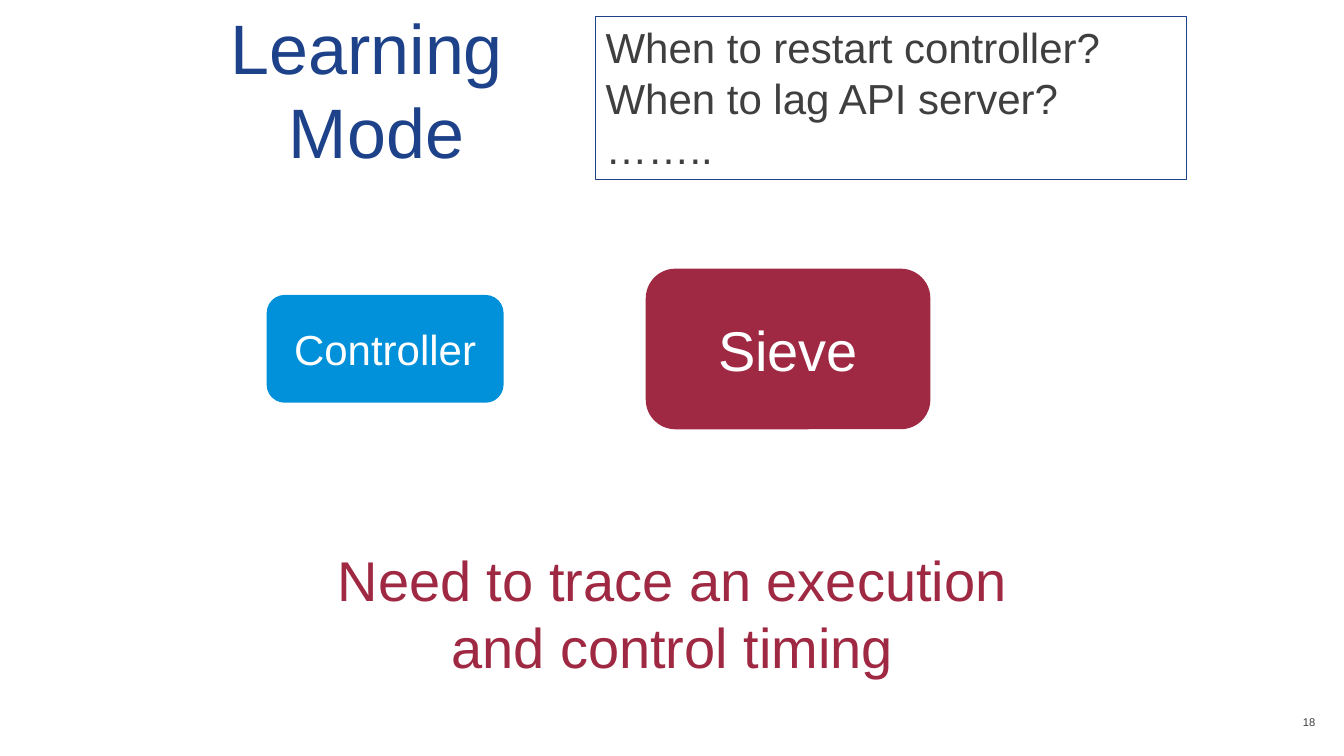
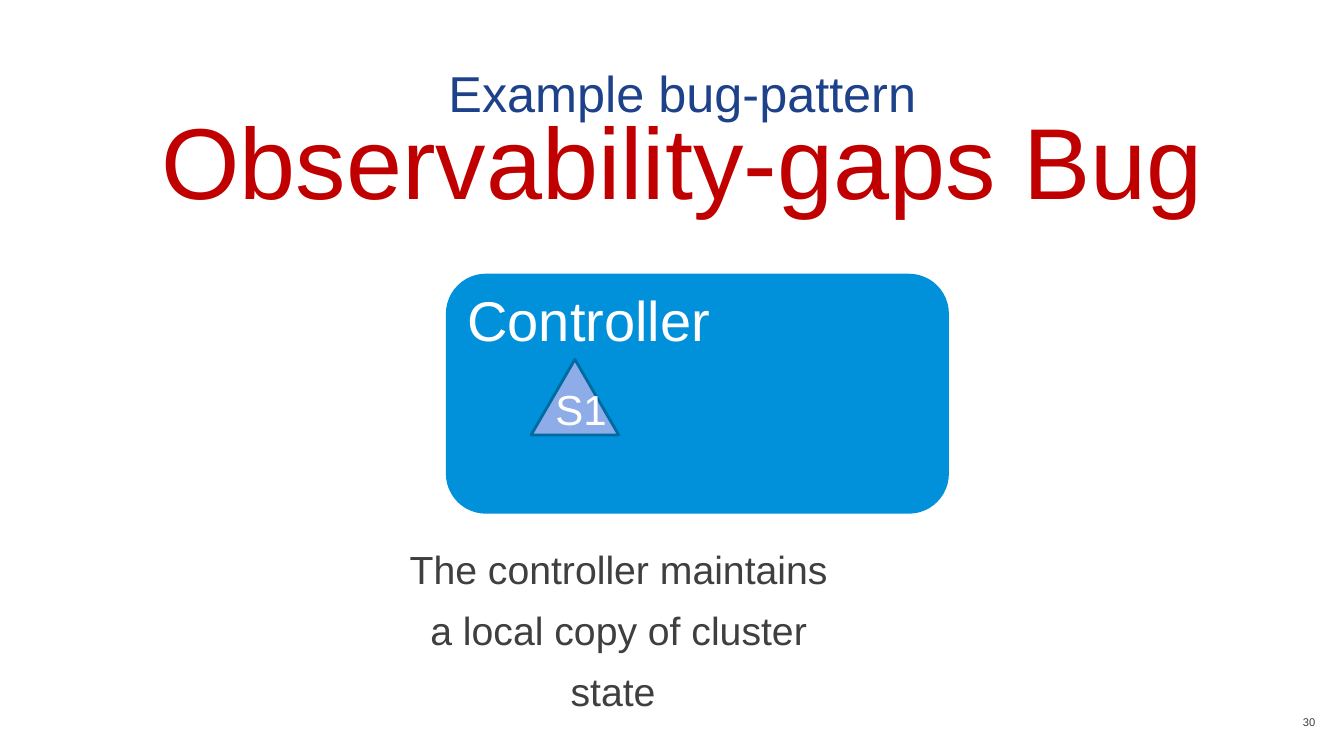
from dataclasses import dataclass
from typing import Optional

import pptx
import pptx.dml.color
import pptx.enum.shapes
import pptx.enum.text
import pptx.presentation
import pptx.shapes.base
import pptx.slide
import pptx.util

Pt = pptx.util.Pt
Align = pptx.enum.text.PP_ALIGN
Anchor = pptx.enum.text.MSO_ANCHOR
Preset = pptx.enum.shapes.MSO_SHAPE


@dataclass(frozen=True)
class Theme:
    font: str = "Arial"
    navy: str = "1D428A"
    blue: str = "0091DA"
    dark_blue: str = "006BA1"
    pale_blue: str = "8EACE7"
    maroon: str = "9F2842"
    red: str = "C00000"
    gray: str = "3F3F3F"
    white: str = "FFFFFF"
    footer: float = 8
    note: float = 28
    body: float = 30
    kicker: float = 36
    large: float = 40
    title: float = 50
    display: float = 72


THEME = Theme()


@dataclass(frozen=True)
class Box:
    left: float
    top: float
    width: float
    height: float


@dataclass(frozen=True)
class Style:
    size: float
    color: str


@dataclass(frozen=True)
class Label:
    paragraphs: tuple[str, ...]
    styles: tuple[Style, ...]
    align: Align = Align.CENTER
    anchor: Anchor = Anchor.TOP
    insets: tuple[float, float] = (7.2, 3.6)
    line_spacing: Optional[float] = None
    space_after: Optional[float] = None


@dataclass(frozen=True)
class Figure:
    preset: Preset
    box: Box
    fill: Optional[str] = None
    line: Optional[str] = None
    line_width: float = 0.75
    label: Optional[Label] = None


def color(value: str) -> pptx.dml.color.RGBColor:
    return pptx.dml.color.RGBColor.from_string(value)


def write_label(shape: pptx.shapes.base.BaseShape, label: Label) -> None:
    frame = shape.text_frame
    frame.text = "\n".join(label.paragraphs)
    frame.word_wrap = True
    frame.vertical_anchor = label.anchor
    frame.margin_left = frame.margin_right = Pt(label.insets[0])
    frame.margin_top = frame.margin_bottom = Pt(label.insets[1])
    for paragraph in frame.paragraphs:
        paragraph.alignment = label.align
        if label.line_spacing is not None:
            paragraph.line_spacing = label.line_spacing
        if label.space_after is not None:
            paragraph.space_after = Pt(label.space_after)
        for index, run in enumerate(paragraph.runs):
            style = label.styles[min(index, len(label.styles) - 1)]
            run.font.name = THEME.font
            run.font.size = Pt(style.size)
            run.font.color.rgb = color(style.color)


def place(box: Box) -> tuple[int, int, int, int]:
    return Pt(box.left), Pt(box.top), Pt(box.width), Pt(box.height)


def draw_text(slide: pptx.slide.Slide, box: Box, label: Label) -> None:
    write_label(slide.shapes.add_textbox(*place(box)), label)


def draw_figure(slide: pptx.slide.Slide, figure: Figure) -> None:
    shape = slide.shapes.add_shape(figure.preset, *place(figure.box))
    shape.shadow.inherit = False
    if figure.fill:
        shape.fill.solid()
        shape.fill.fore_color.rgb = color(figure.fill)
    else:
        shape.fill.background()
    if figure.line:
        shape.line.color.rgb = color(figure.line)
        shape.line.width = Pt(figure.line_width)
    else:
        shape.line.fill.background()
    if figure.label:
        write_label(shape, figure.label)


def block_label(text: str, size: float) -> Label:
    return Label((text,), (Style(size, THEME.white),), anchor=Anchor.MIDDLE, space_after=6)


def add_numbered_slide(presentation: pptx.presentation.Presentation, number: int) -> pptx.slide.Slide:
    slide = presentation.slides.add_slide(presentation.slide_layouts[6])
    draw_text(
        slide,
        Box(905, 509, 34.6, 14.4),
        Label(
            (str(number),),
            (Style(THEME.footer, THEME.gray),),
            align=Align.RIGHT,
            anchor=Anchor.MIDDLE,
            insets=(0, 0),
            line_spacing=0.9,
        ),
    )
    return slide


def build_learning_mode(presentation: pptx.presentation.Presentation) -> None:
    slide = add_numbered_slide(presentation, 18)
    blocks = (
        Figure(
            Preset.ROUNDED_RECTANGLE,
            Box(190.5, 210.7, 169.2, 77),
            fill=THEME.blue,
            label=block_label("Controller", THEME.body),
        ),
        Figure(
            Preset.ROUNDED_RECTANGLE,
            Box(464.3, 194.9, 197.3, 108.7),
            fill=THEME.maroon,
            line=THEME.maroon,
            line_width=6,
            label=block_label("Sieve", THEME.large),
        ),
    )
    for block in blocks:
        draw_figure(slide, block)
    draw_text(
        slide,
        Box(0, 0, 538, 128),
        Label(("Learning ", "Mode"), (Style(THEME.title, THEME.navy),)),
    )
    questions = Label(
        ("When to restart controller?\vWhen to lag API server?", "…….."),
        (Style(THEME.body, THEME.gray),),
        align=Align.LEFT,
    )
    draw_figure(
        slide,
        Figure(Preset.RECTANGLE, Box(425.5, 12, 422, 116.6), line=THEME.navy, label=questions),
    )
    draw_text(
        slide,
        Box(162.5, 386, 635, 104.4),
        Label(
            ("Need to trace an execution", "and control timing"),
            (Style(THEME.large, THEME.maroon),),
        ),
    )


def build_bug_pattern(presentation: pptx.presentation.Presentation) -> None:
    slide = add_numbered_slide(presentation, 30)
    draw_text(
        slide,
        Box(107.4, 49, 760, 107.5),
        Label(
            ("Example bug-pattern\vObservability-gaps Bug",),
            (Style(THEME.kicker, THEME.navy), Style(THEME.display, THEME.red)),
            anchor=Anchor.BOTTOM,
            insets=(0, 0),
            line_spacing=0.8,
        ),
    )
    controller = Label(
        ("Controller",),
        (Style(THEME.large, THEME.white),),
        align=Align.LEFT,
        insets=(7, 0),
    )
    draw_figure(
        slide,
        Figure(
            Preset.ROUNDED_RECTANGLE,
            Box(318.5, 195.5, 359.3, 171.4),
            fill=THEME.blue,
            label=controller,
        ),
    )
    draw_figure(
        slide,
        Figure(
            Preset.ISOSCELES_TRIANGLE,
            Box(379.4, 256.7, 62.6, 54),
            fill=THEME.pale_blue,
            line=THEME.dark_blue,
            line_width=2,
        ),
    )
    draw_text(
        slide,
        Box(389.6, 270.7, 62.6, 44),
        Label(("S1",), (Style(THEME.body, THEME.white),), align=Align.LEFT),
    )
    draw_text(
        slide,
        Box(287.3, 379.4, 309, 85),
        Label(
            ("The controller maintains a local copy of cluster state ",),
            (Style(THEME.note, THEME.gray),),
            insets=(0, 0),
            line_spacing=1.3,
        ),
    )


def main() -> None:
    presentation = pptx.Presentation()
    presentation.slide_width = Pt(960)
    presentation.slide_height = Pt(540)
    build_learning_mode(presentation)
    build_bug_pattern(presentation)
    presentation.save("out.pptx")


if __name__ == "__main__":
    main()
